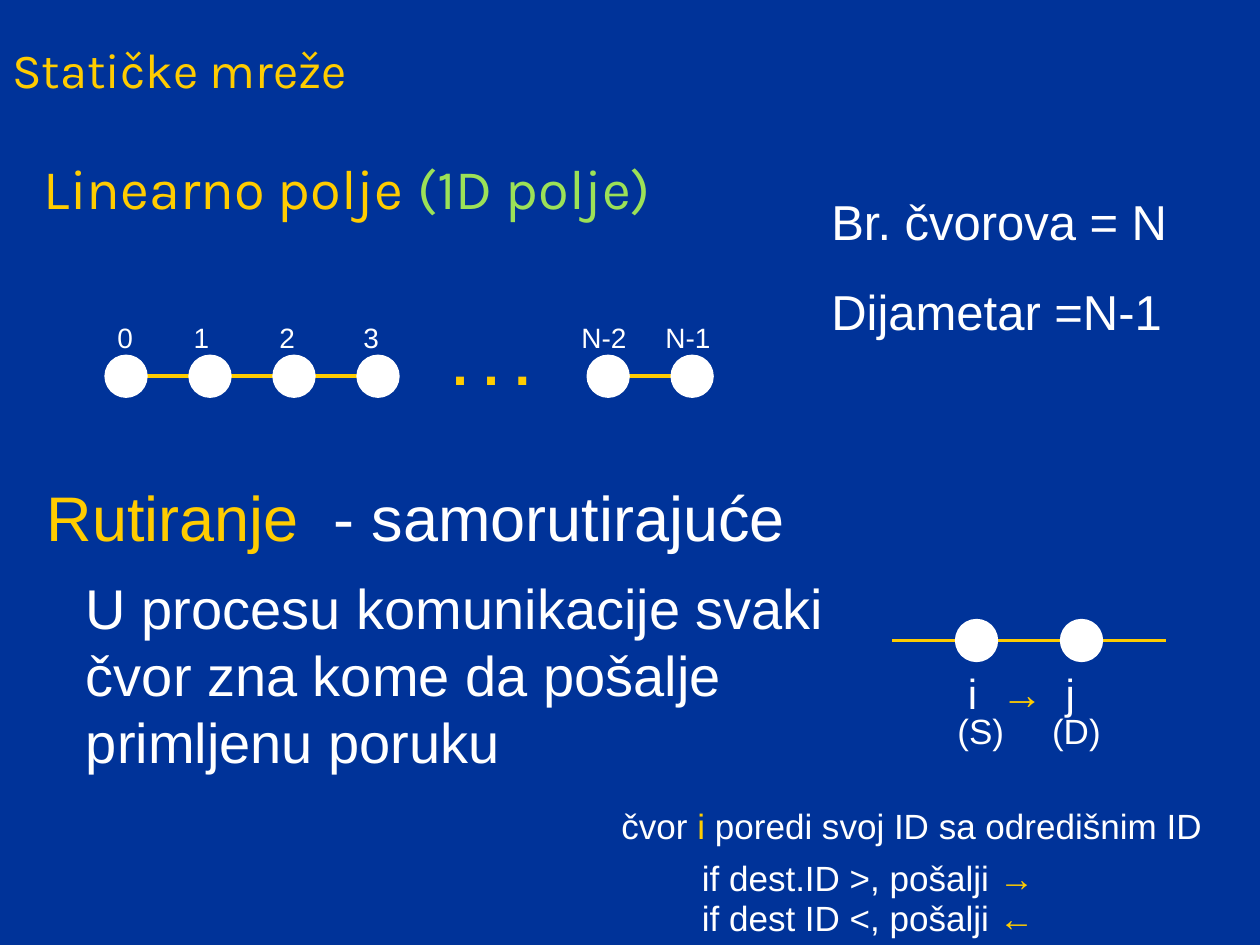
import pptx
import pptx.util
import pptx.dml.color
import pptx.enum.shapes
import pptx.enum.text
import pptx.oxml.ns
from lxml import etree

Pt = pptx.util.Pt
RGBColor = pptx.dml.color.RGBColor
qn = pptx.oxml.ns.qn

BLUE = RGBColor(0x00, 0x33, 0x99)
YELLOW = RGBColor(0xFF, 0xCC, 0x00)
GREEN = RGBColor(0x9C, 0xE1, 0x57)
WHITE = RGBColor(0xFF, 0xFF, 0xFF)

NODE = 24
PITCH = 48

HEADINGS = [
    dict(box=(0, 18.72, 720, 41), size=28, font="Karla", middle=True,
         paragraphs=[[("Statičke mreže", YELLOW)]]),
    dict(box=(18, 84.24, 690, 60), size=32, font="Karla", before=8,
         paragraphs=[[("Linearno polje", YELLOW), (" (1D polje)", GREEN)]]),
]
ARRAY = dict(
    segments=[(60, 4), (335.5, 2)], top=203,
    texts=[
        dict(box=(251.5, 185, 78, 46), size=32, bold=True, before=20,
             paragraphs=[[(". . .", YELLOW)]]),
        dict(box=(60, 179.5, 360, 26.6), size=16, before=10,
             tabs=[(48, "ctr"), (97, "ctr"), (145, "ctr"), (278, "ctr"), (326, "ctr")],
             paragraphs=[[("0\t1\t2\t3\tN-2\tN-1", WHITE)]]),
    ])
BODY = [
    dict(box=(468, 106, 216, 92), size=28, before=17.5,
         paragraphs=[[("Br. čvorova = N", WHITE)], [("Dijametar =N-1", WHITE)]]),
    dict(box=(19.5, 270, 658, 50.5), size=36, before=22.5, tabs=[(164, "l")],
         paragraphs=[[("Rutiranje", YELLOW), ("\t- samorutirajuće", WHITE)]]),
    dict(box=(42, 324, 438, 122.5), size=32, before=20,
         paragraphs=[[("U procesu komunikacije svaki čvor zna kome da pošalje primljenu poruku", WHITE)]]),
]
PAIR = dict(
    line=(510, 666), nodes=(546, 606), top=354,
    texts=[
        dict(box=(546, 378, 96, 36), size=24, before=15, tabs=[(31, "ctr"), (58.5, "ctr")],
             paragraphs=[[("i", WHITE), ("\t→", YELLOW), ("\tj", WHITE)]]),
        dict(box=(540, 402, 102, 31.5), size=20, before=12.5, tabs=[(68, "ctr")],
             paragraphs=[[("(S)\t(D)", WHITE)]]),
    ])
RULES = [
    dict(box=(348, 456, 372, 31.5), size=20, before=12.5,
         paragraphs=[[("čvor ", WHITE), ("i ", YELLOW), ("poredi svoj ID sa odredišnim ID", WHITE)]]),
    dict(box=(394, 486, 300, 31.5), size=20, before=12.5,
         paragraphs=[[("if dest.ID >, pošalji ", WHITE), ("→", YELLOW)]]),
    dict(box=(394, 509, 212, 31.5), size=20, before=12.5,
         paragraphs=[[("if dest ID <, pošalji ", WHITE), ("←", YELLOW)]]),
]


def add_text(shapes, box, size, paragraphs, font="Arial", bold=False, before=0, tabs=(), middle=False):
    frame = shapes.add_textbox(*map(Pt, box)).text_frame
    frame.word_wrap = True
    if middle:
        frame.vertical_anchor = pptx.enum.text.MSO_ANCHOR.MIDDLE
    for index, runs in enumerate(paragraphs):
        paragraph = frame.add_paragraph() if index else frame.paragraphs[0]
        paragraph.space_before = Pt(before)
        if tabs:
            tab_list = etree.SubElement(paragraph._p.get_or_add_pPr(), qn("a:tabLst"))
            for position, alignment in tabs:
                etree.SubElement(tab_list, qn("a:tab"), pos=str(int(Pt(position))), algn=alignment)
        for text, colour in runs:
            run = paragraph.add_run()
            run.text = text
            run.font.name = font
            run.font.size = Pt(size)
            run.font.bold = bold
            run.font.color.rgb = colour


def add_link(shapes, start, end, top):
    middle = top + NODE / 2
    link = shapes.add_connector(pptx.enum.shapes.MSO_CONNECTOR.STRAIGHT,
                                Pt(start), Pt(middle), Pt(end), Pt(middle))
    link.line.color.rgb = YELLOW
    link.line.width = Pt(2.25)
    etree.SubElement(link._element.spPr, qn("a:effectLst"))


def add_node(shapes, left, top):
    node = shapes.add_shape(pptx.enum.shapes.MSO_SHAPE.OVAL, Pt(left), Pt(top), Pt(NODE), Pt(NODE))
    node.shadow.inherit = False
    node.fill.solid()
    node.fill.fore_color.rgb = WHITE
    node.line.color.rgb = WHITE
    node.line.width = Pt(0.75)


def add_network(slide, links, nodes, top, texts):
    shapes = slide.shapes.add_group_shape().shapes
    for start, end in links:
        add_link(shapes, start, end, top)
    for left in nodes:
        add_node(shapes, left, top)
    for text in texts:
        add_text(shapes, **text)


def main():
    presentation = pptx.Presentation()
    presentation.slide_width = Pt(720)
    presentation.slide_height = Pt(540)
    slide = presentation.slides.add_slide(presentation.slide_layouts[6])
    slide.background.fill.solid()
    slide.background.fill.fore_color.rgb = BLUE

    for text in HEADINGS:
        add_text(slide.shapes, **text)
    links = [(left + NODE, left + PITCH * (count - 1)) for left, count in ARRAY["segments"]]
    nodes = [left + PITCH * index for left, count in ARRAY["segments"] for index in range(count)]
    add_network(slide, links, nodes, ARRAY["top"], ARRAY["texts"])
    for text in BODY:
        add_text(slide.shapes, **text)
    add_network(slide, [PAIR["line"]], PAIR["nodes"], PAIR["top"], PAIR["texts"])
    for text in RULES:
        add_text(slide.shapes, **text)
    presentation.save("out.pptx")


if __name__ == "__main__":
    main()
